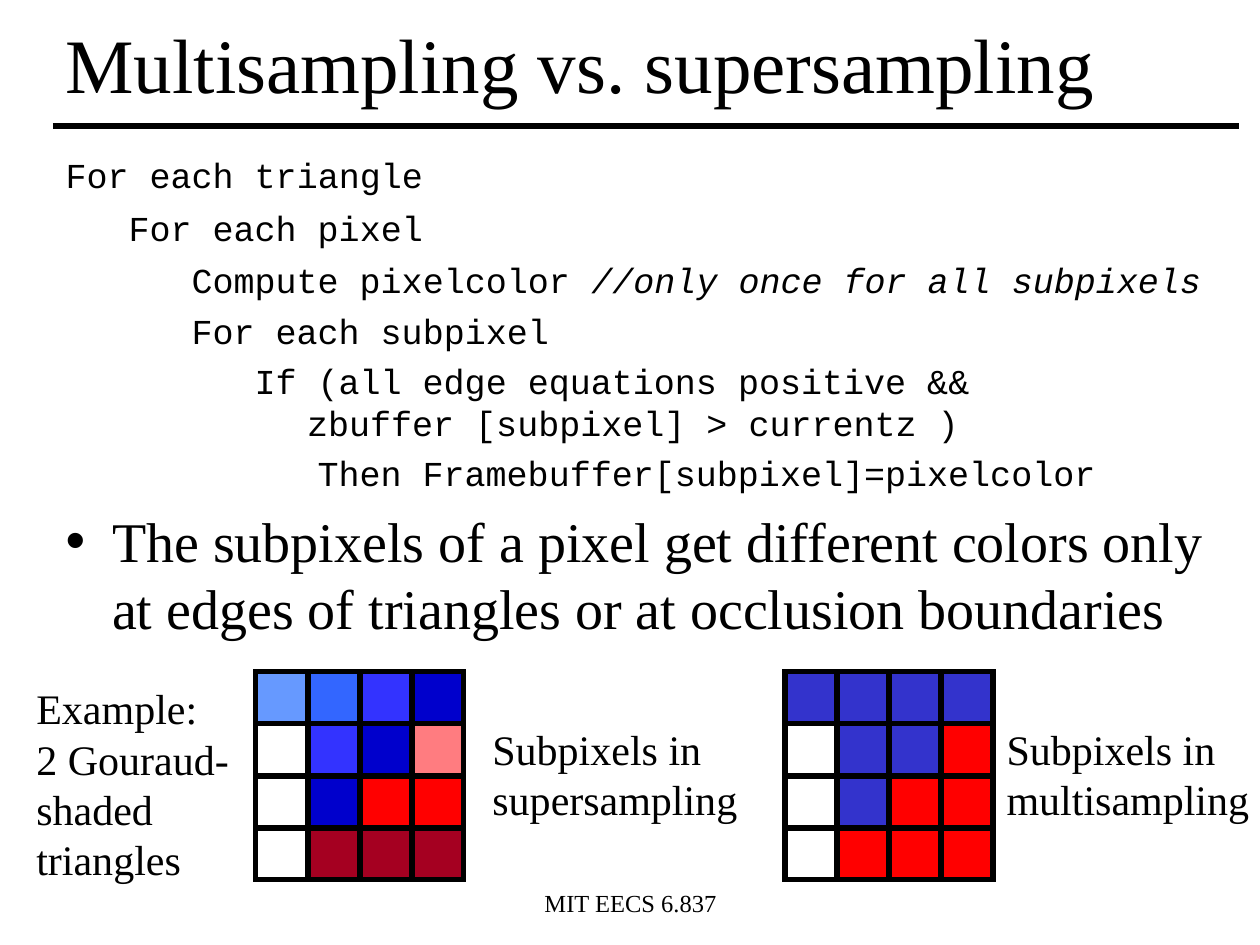
"""Build a slide comparing multisampling with supersampling."""
from lxml import etree
from pptx import Presentation
from pptx.dml.color import RGBColor
from pptx.enum.shapes import MSO_CONNECTOR, MSO_SHAPE
from pptx.enum.text import MSO_ANCHOR, MSO_AUTO_SIZE, PP_ALIGN
from pptx.oxml.ns import qn
from pptx.util import Inches, Pt

RECTANGLE = MSO_SHAPE.RECTANGLE
STRAIGHT = MSO_CONNECTOR.STRAIGHT
LEFT, CENTER = PP_ALIGN.LEFT, PP_ALIGN.CENTER
TOP, MIDDLE = MSO_ANCHOR.TOP, MSO_ANCHOR.MIDDLE
NO_FIT = MSO_AUTO_SIZE.NONE
SERIF, MONO = "Times New Roman", "Courier New"
BLACK = "000000"


def color(hex_string):
    return RGBColor.from_string(hex_string)


def write_text(paragraph, text, size=24, font=SERIF, italic=False, align=LEFT):
    paragraph.alignment = align
    for index, line in enumerate(text.split("\n")):
        if index:
            paragraph.add_line_break()
        run = paragraph.add_run()
        run.text = line
        run.font.size = Pt(size)
        run.font.name = font
        run.font.italic = italic
        run.font.color.rgb = color(BLACK)


presentation = Presentation()
presentation.slide_width = Inches(10)
presentation.slide_height = Inches(7.5)
slide = presentation.slides.add_slide(presentation.slide_layouts[1])
shapes = slide.shapes

title = shapes.title
body = slide.placeholders[1]
for placeholder, top, height, anchor in [(title, 0, 0.99, MIDDLE), (body, 1.17, 5.74, TOP)]:
    placeholder.left, placeholder.top = Inches(0.42), Inches(top)
    placeholder.width, placeholder.height = Inches(9.41), Inches(height)
    placeholder.text_frame.auto_size = NO_FIT
    placeholder.text_frame.word_wrap = True
    placeholder.text_frame.vertical_anchor = anchor
write_text(title.text_frame.paragraphs[0], "Multisampling vs. supersampling", size=44)

title_rule = shapes.add_connector(STRAIGHT, Inches(0.42), Inches(1), Inches(9.83), Inches(1))
title_rule.line.color.rgb = color(BLACK)
title_rule.line.width = Pt(3)
etree.SubElement(title_rule._element.spPr, qn("a:effectLst"))

level_formats = [(0.37, -0.37, 7.4), (0.8, -0.3, 6.4), (1.25, -0.25, 5.4),
                 (1.75, -0.25, 4.4), (2.25, -0.25, 4.4)]
body_lines = [
    (0, "For each triangle", "", MONO, 20),
    (1, "For each pixel", "", MONO, 20),
    (2, "Compute pixelcolor ", "//only once for all subpixels", MONO, 20),
    (2, "For each subpixel", "", MONO, 20),
    (3, "If (all edge equations positive &&\n zbuffer [subpixel] > currentz )", "", MONO, 20),
    (4, "Then Framebuffer[subpixel]=pixelcolor", "", MONO, 20),
    (0, "The subpixels of a pixel get different colors only "
        "at edges of triangles or at occlusion boundaries", "", SERIF, 32),
]
for index, (level, text, comment, font, size) in enumerate(body_lines):
    frame = body.text_frame
    paragraph = frame.add_paragraph() if index else frame.paragraphs[0]
    margin, indent, space_before = level_formats[level]
    paragraph.level = level
    paragraph.space_before = Pt(space_before if index else 0)
    properties = paragraph._p.get_or_add_pPr()
    properties.set("marL", str(Inches(margin)))
    properties.set("indent", str(Inches(indent)))
    if font == MONO:
        etree.SubElement(properties, qn("a:buNone"))
    else:
        etree.SubElement(properties, qn("a:buChar")).set("char", "•")
    write_text(paragraph, text, size=size, font=font)
    if comment:
        write_text(paragraph, comment, size=size, font=font, italic=True)

cell_size, cell_step, grid_top = 0.41, 0.414, 5.33
supersampling_rows = [
    ["6699FF", "3366FF", "3333FF", "0000CC"],
    [None, "3333FF", "0000CC", "FF7C80"],
    [None, "0000CC", "FF0000", "FF0000"],
    [None, "A50021", "A50021", "A50021"],
]
blue, red = "3333CC", "FF0000"
multisampling_rows = [
    [blue, blue, blue, blue],
    [None, blue, blue, red],
    [None, blue, red, red],
    [None, red, red, red],
]
for grid_left, rows in [(2.03, supersampling_rows), (6.23, multisampling_rows)]:
    for row, fills in enumerate(rows):
        for column, fill in enumerate(fills):
            subpixel = shapes.add_shape(
                RECTANGLE, Inches(grid_left + column * cell_step),
                Inches(grid_top + row * cell_step), Inches(cell_size), Inches(cell_size))
            subpixel.shadow.inherit = False
            subpixel.line.color.rgb = color(BLACK)
            subpixel.line.width = Pt(3)
            etree.SubElement(subpixel.line._get_or_add_ln(), qn("a:miter")).set("lim", "800000")
            if fill:
                subpixel.fill.solid()
                subpixel.fill.fore_color.rgb = color(fill)
            else:
                subpixel.fill.background()

labels = [
    (3.42, 7, 3.17, 0.34, ["MIT EECS 6.837"], 14, CENTER, 0.1),
    (3.81, 5.69, 2.14, 0.9, ["Subpixels in", "supersampling"], 24, LEFT, 0),
    (7.89, 5.69, 2.12, 0.9, ["Subpixels in", "multisampling"], 24, LEFT, 0),
    (0.19, 5.37, 1.72, 1.7, ["Example:\n2 Gouraud-\nshaded\ntriangles"], 24, LEFT, 0),
]
for left, top, width, height, lines, size, align, right_margin in labels:
    label = shapes.add_textbox(Inches(left), Inches(top), Inches(width), Inches(height))
    frame = label.text_frame
    frame.word_wrap = True
    frame.auto_size = NO_FIT
    frame.margin_right = Inches(right_margin)
    for index, line in enumerate(lines):
        paragraph = frame.add_paragraph() if index else frame.paragraphs[0]
        write_text(paragraph, line, size=size, align=align)

presentation.save("out.pptx")
